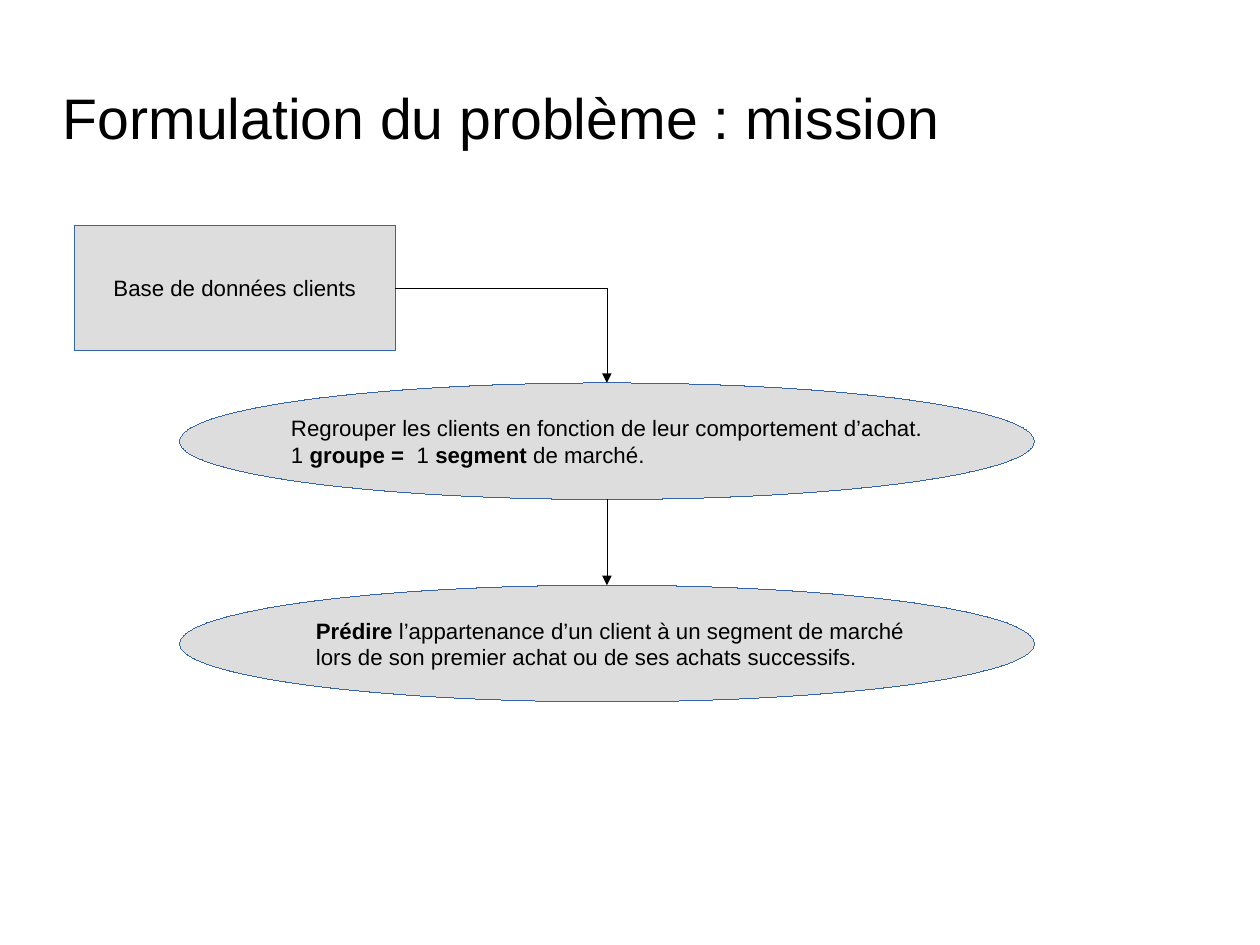
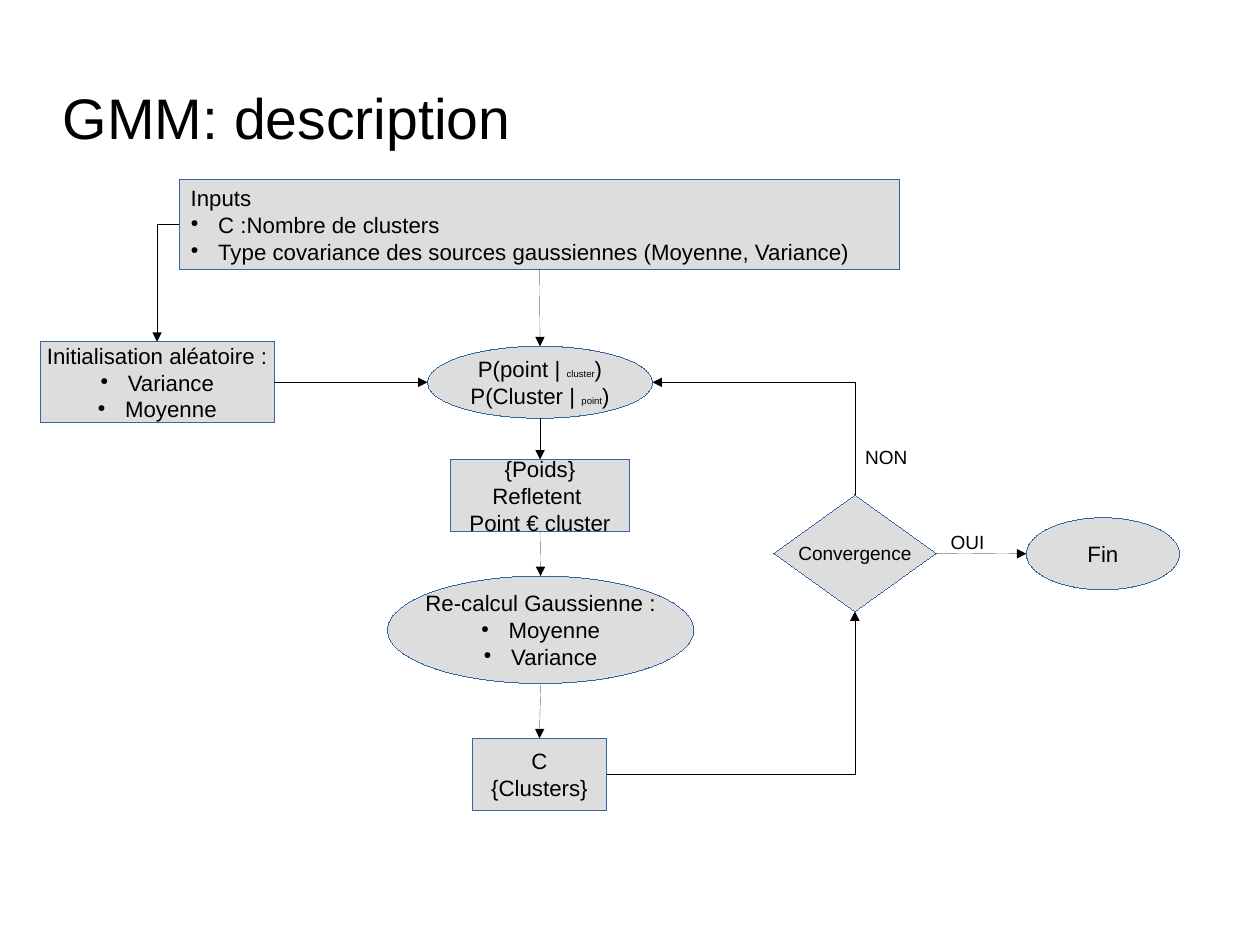
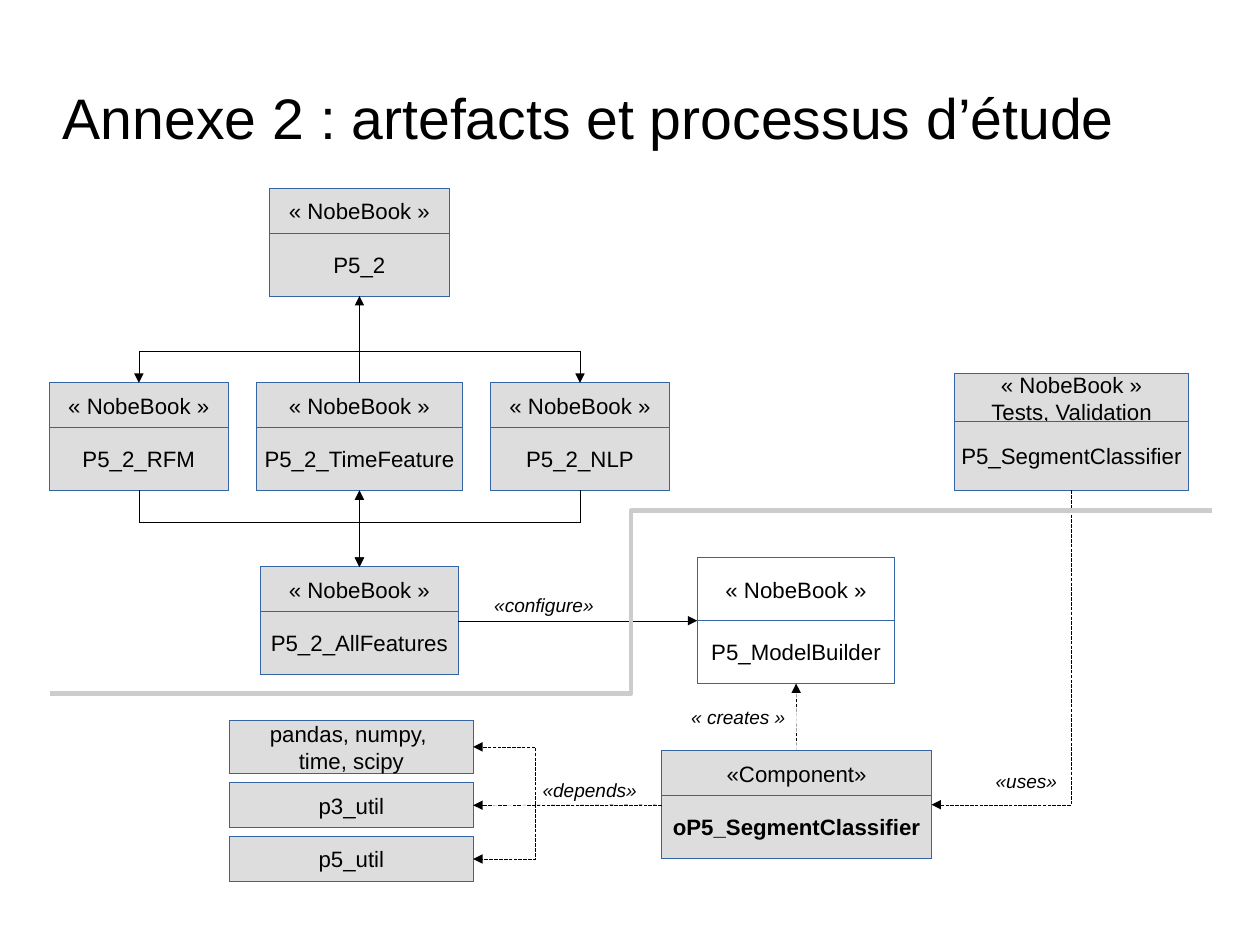
from dataclasses import dataclass
from typing import Optional, Union

from lxml.etree import SubElement
from pptx import Presentation
from pptx.dml.color import RGBColor
from pptx.enum.dml import MSO_LINE
from pptx.enum.shapes import MSO_CONNECTOR, MSO_SHAPE
from pptx.enum.text import MSO_ANCHOR, MSO_AUTO_SIZE, PP_ALIGN
from pptx.oxml.ns import qn
from pptx.shapes.autoshape import Shape
from pptx.shapes.connector import Connector
from pptx.shapes.group import GroupShape
from pptx.slide import Slide
from pptx.text.text import TextFrame
from pptx.util import Cm, Inches, Pt


@dataclass(frozen=True)
class Theme:
    font: str = "Arial"
    text: RGBColor = RGBColor(0, 0, 0)
    fill: RGBColor = RGBColor(0xDD, 0xDD, 0xDD)
    plain: RGBColor = RGBColor(0xFF, 0xFF, 0xFF)
    outline: RGBColor = RGBColor(0x34, 0x65, 0xA4)
    divider: RGBColor = RGBColor(0xCC, 0xCC, 0xCC)
    title_size: float = 36
    body_size: float = 14
    label_size: float = 12
    small_size: float = 6


THEME = Theme()
TOP, LEFT, BOTTOM, RIGHT = range(4)
RECT, OVAL, DIAMOND = MSO_SHAPE.RECTANGLE, MSO_SHAPE.OVAL, MSO_SHAPE.DIAMOND


@dataclass(frozen=True)
class Span:
    text: str
    size: Optional[float] = None
    bold: bool = False


@dataclass(frozen=True)
class Para:
    spans: tuple[Span, ...]
    bullet: bool = False
    align: Optional[PP_ALIGN] = None


@dataclass(frozen=True)
class Node:
    left: float
    top: float
    width: float
    height: float
    content: tuple[Union[str, Para], ...]
    kind: MSO_SHAPE = RECT
    align: PP_ALIGN = PP_ALIGN.CENTER
    size: float = THEME.body_size
    fill: RGBColor = THEME.fill
    wrap: bool = False


@dataclass(frozen=True)
class Artefact:
    """A box with a stereotype above a name."""
    left: float
    top: float
    width: float
    name: Para
    stereotype: tuple[str, ...] = ("« NobeBook »",)
    header: float = 0.39
    body: float = 0.55
    fill: RGBColor = THEME.fill


@dataclass(frozen=True)
class Label:
    left: float
    top: float
    width: float
    text: str
    italic: bool = True


@dataclass(frozen=True)
class Link:
    start: Union[Shape, GroupShape]
    start_side: int
    end: Union[Shape, GroupShape]
    end_side: int
    elbow: bool = False
    bend: Optional[float] = None
    dashed: bool = False


def plain(text: str, bold: bool = False, align: Optional[PP_ALIGN] = None) -> Para:
    return Para((Span(text, bold=bold),), align=align)


def bullet(text: str) -> Para:
    return Para((Span(text),), bullet=True)


# Text
def format_font(font, size: float, bold: bool = False, italic: bool = False) -> None:
    font.name, font.size = THEME.font, Pt(size)
    font.bold, font.italic = bold, italic
    font.color.rgb = THEME.text


def add_bullet(paragraph) -> None:
    properties = paragraph._p.get_or_add_pPr()
    properties.set("marL", str(Inches(0.24)))
    properties.set("indent", str(-Inches(0.24)))
    colour = SubElement(properties, qn("a:buClr"))
    SubElement(colour, qn("a:srgbClr")).set("val", str(THEME.text))
    SubElement(properties, qn("a:buSzPct")).set("val", "45000")
    SubElement(properties, qn("a:buChar")).set("char", "●")


def write(frame: TextFrame, node: Node) -> None:
    for index, item in enumerate(node.content):
        line = plain(item) if isinstance(item, str) else item
        paragraph = frame.paragraphs[0] if index == 0 else frame.add_paragraph()
        paragraph.alignment = line.align or node.align
        if line.bullet:
            add_bullet(paragraph)
        for span in line.spans:
            run = paragraph.add_run()
            run.text = span.text
            format_font(run.font, span.size or node.size, span.bold)


# Shapes
def style_line(shape: Union[Shape, Connector], colour: RGBColor, width: float) -> None:
    shape.line.color.rgb = colour
    shape.line.width = Pt(width)
    # A hairline must not fall back on the line width of the theme
    shape._element.find(qn("p:style")).find(qn("a:lnRef")).set("idx", "0")


def add_node(shapes, node: Node) -> Shape:
    shape = shapes.add_shape(node.kind, Inches(node.left), Inches(node.top),
                             Inches(node.width), Inches(node.height))
    shape.shadow.inherit = False
    shape.fill.solid()
    shape.fill.fore_color.rgb = node.fill
    style_line(shape, THEME.outline, 0)
    shape.text_frame.word_wrap = node.wrap
    shape.text_frame.vertical_anchor = MSO_ANCHOR.MIDDLE
    write(shape.text_frame, node)
    return shape


def add_artefact(slide: Slide, item: Artefact) -> GroupShape:
    group = slide.shapes.add_group_shape()
    add_node(group.shapes, Node(item.left, item.top, item.width, item.header,
                                item.stereotype, fill=item.fill))
    add_node(group.shapes, Node(item.left, item.top + item.header, item.width,
                                item.body, (item.name,), fill=item.fill))
    return group


def add_label(slide: Slide, label: Label) -> None:
    box = slide.shapes.add_textbox(Inches(label.left), Inches(label.top),
                                   Inches(label.width), Inches(0.29))
    frame = box.text_frame
    frame.word_wrap = True
    frame.vertical_anchor = MSO_ANCHOR.BOTTOM
    frame.text = label.text
    frame.paragraphs[0].alignment = PP_ALIGN.CENTER
    format_font(frame.paragraphs[0].runs[0].font, THEME.label_size, italic=label.italic)


# Connectors
def style_connector(connector: Connector, colour: RGBColor, width: float) -> None:
    style_line(connector, colour, width)
    SubElement(connector._element.spPr, qn("a:effectLst"))


def bend_connector(connector: Connector, vertical: bool, bend: Optional[float]) -> None:
    """Give an elbow one bend, or two with the middle part at the given share."""
    x, y = connector.begin_x, connector.begin_y
    dx, dy = connector.end_x - x, connector.end_y - y
    width, height = (abs(dy), abs(dx)) if vertical else (abs(dx), abs(dy))
    connector.left = int(x + dx / 2 - width / 2)
    connector.top = int(y + dy / 2 - height / 2)
    connector.width, connector.height = width, height

    properties = connector._element.spPr
    transform = properties.find(qn("a:xfrm"))
    flip_h, flip_v = (dy < 0, dx > 0) if vertical else (dx < 0, dy < 0)
    transform.set("rot", "5400000" if vertical else "0")
    transform.set("flipH", str(int(flip_h)))
    transform.set("flipV", str(int(flip_v)))

    geometry = properties.find(qn("a:prstGeom"))
    if bend is None:
        geometry.set("prst", "bentConnector2")
        return
    guides = geometry.find(qn("a:avLst"))
    if guides is None:
        guides = SubElement(geometry, qn("a:avLst"))
    guide = SubElement(guides, qn("a:gd"))
    guide.set("name", "adj1")
    guide.set("fmla", f"val {round(bend * 100000)}")


def add_link(slide: Slide, link: Link) -> None:
    kind = MSO_CONNECTOR.ELBOW if link.elbow else MSO_CONNECTOR.STRAIGHT
    connector = slide.shapes.add_connector(kind, 0, 0, 0, 0)
    connector.begin_connect(link.start, link.start_side)
    connector.end_connect(link.end, link.end_side)
    # An ellipse has eight connection sites, so its sides are every second one
    joints = connector._element.nvCxnSpPr.cNvCxnSpPr
    for joint, shape, side in ((joints.stCxn, link.start, link.start_side),
                               (joints.endCxn, link.end, link.end_side)):
        if isinstance(shape, Shape) and shape.auto_shape_type == OVAL:
            joint.idx = side * 2
    if link.elbow:
        bend_connector(connector, link.start_side in (TOP, BOTTOM), link.bend)
    style_connector(connector, THEME.text, 0)
    if link.dashed:
        connector.line.dash_style = MSO_LINE.SQUARE_DOT
    SubElement(connector.line._get_or_add_ln(), qn("a:tailEnd")).set("type", "triangle")


def add_slide(prs, heading: str) -> Slide:
    slide = prs.slides.add_slide(prs.slide_layouts[5])
    title = slide.shapes.title
    title.left, title.top = Inches(0.55), Inches(0.63)
    title.width, title.height = Inches(9.29), Inches(0.79)
    frame = title.text_frame
    frame.text = heading
    frame.auto_size = MSO_AUTO_SIZE.NONE
    frame.word_wrap = True
    frame.vertical_anchor = MSO_ANCHOR.MIDDLE
    frame.margin_left = frame.margin_right = frame.margin_top = frame.margin_bottom = 0
    frame.paragraphs[0].alignment = PP_ALIGN.LEFT
    format_font(frame.paragraphs[0].runs[0].font, THEME.title_size)
    return slide


# Slides
def build_mission(prs) -> None:
    slide = add_slide(prs, "Formulation du problème : mission")
    database = add_node(slide.shapes, Node(0.65, 1.97, 2.81, 1.1,
                                           ("Base de données clients",)))
    segments = (
        plain("Regrouper les clients en fonction de leur comportement d’achat.",
              align=PP_ALIGN.CENTER),
        Para((Span("1 "), Span("groupe = ", bold=True), Span(" 1 "),
              Span("segment", bold=True), Span(" de marché."))),
    )
    prediction = (
        Para((Span("Prédire", bold=True),
              Span(" l’appartenance d’un client à un segment de marché"))),
        "lors de son premier achat ou de ses achats successifs.",
    )
    grouping, predicting = (
        add_node(slide.shapes, Node(1.57, top, 7.48, 1.02, content, OVAL, PP_ALIGN.LEFT))
        for top, content in ((3.35, segments), (5.12, prediction)))
    add_link(slide, Link(database, RIGHT, grouping, TOP, elbow=True))
    add_link(slide, Link(grouping, BOTTOM, predicting, TOP))


def build_gmm(prs) -> None:
    slide = add_slide(prs, "GMM: description")
    small = THEME.small_size
    nodes = (
        Node(1.57, 1.57, 6.3, 0.79, (
            "Inputs", bullet("C :Nombre de clusters"),
            bullet("Type covariance des sources gaussiennes (Moyenne, Variance)"),
        ), align=PP_ALIGN.LEFT, wrap=True),
        Node(0.35, 2.99, 2.05, 0.71, (
            "Initialisation aléatoire :", bullet("Variance"), bullet("Moyenne"))),
        Node(3.74, 3.03, 1.97, 0.63, (
            Para((Span("P(point | "), Span("cluster", small), Span(")"))),
            Para((Span("P(Cluster | "), Span("point", small), Span(")"))),
        ), OVAL),
        Node(3.94, 4.02, 1.57, 0.63, ("{Poids}", "Refletent ", "Point € cluster")),
        Node(3.39, 5.04, 2.68, 0.94, (
            "Re-calcul Gaussienne :", bullet("Moyenne"), bullet("Variance")), OVAL),
        Node(4.13, 6.46, 1.18, 0.63, ("C", "{Clusters}")),
        Node(6.77, 4.33, 1.42, 1.02, ("Convergence",), DIAMOND, size=THEME.label_size),
        Node(8.98, 4.53, 1.34, 0.63, ("Fin",), OVAL),
    )
    inputs, start, probability, weights, update, clusters, convergence, finish = (
        add_node(slide.shapes, node) for node in nodes)

    steps = (inputs, probability, weights, update, clusters)
    for upper, lower in zip(steps, steps[1:]):
        add_link(slide, Link(upper, BOTTOM, lower, TOP))
    for link in (
        Link(inputs, LEFT, start, TOP, elbow=True),
        Link(start, RIGHT, probability, LEFT),
        Link(clusters, RIGHT, convergence, BOTTOM, elbow=True),
        Link(convergence, TOP, probability, RIGHT, elbow=True),
        Link(convergence, RIGHT, finish, LEFT),
    ):
        add_link(slide, link)
    add_label(slide, Label(8.19, 4.6, 0.55, "OUI", italic=False))
    add_label(slide, Label(7.44, 3.86, 0.63, "NON", italic=False))


def build_artefacts(prs) -> None:
    slide = add_slide(prs, "Annexe 2 : artefacts et processus d’étude")
    artefacts = (
        Artefact(2.36, 1.65, 1.57, plain("P5_2")),
        Artefact(0.43, 3.35, 1.57, plain("P5_2_RFM")),
        Artefact(2.24, 3.35, 1.81, plain("P5_2_TimeFeature")),
        Artefact(4.29, 3.35, 1.57, plain("P5_2_NLP")),
        Artefact(2.28, 4.96, 1.73, plain("P5_2_AllFeatures")),
        Artefact(6.1, 4.88, 1.73, plain("P5_ModelBuilder"), header=0.55, fill=THEME.plain),
        Artefact(8.35, 3.27, 2.05, plain("P5_SegmentClassifier"),
                 ("« NobeBook »", "Tests, Validation"), header=0.42, body=0.6),
        Artefact(5.79, 6.57, 2.36, plain("oP5_SegmentClassifier", bold=True),
                 ("«Component»",)),
    )
    source, rfm, time_feature, nlp, all_features, builder, tests, component = (
        add_artefact(slide, item) for item in artefacts)
    libraries, p3_util, p5_util = (
        add_node(slide.shapes, Node(2.01, top, 2.13, height, content))
        for top, height, content in (
            (6.3, 0.47, ("pandas, numpy, ", "time, scipy")),
            (6.85, 0.39, ("p3_util",)),
            (7.32, 0.39, ("p5_util",))))

    for feature in (rfm, nlp):
        add_link(slide, Link(source, BOTTOM, feature, TOP, elbow=True, bend=0.63))
        add_link(slide, Link(feature, BOTTOM, all_features, TOP, elbow=True, bend=0.41))
    for link in (
        Link(time_feature, TOP, source, BOTTOM),
        Link(all_features, TOP, time_feature, BOTTOM),
        Link(all_features, RIGHT, builder, LEFT),
        Link(component, TOP, builder, BOTTOM, dashed=True),
        Link(tests, BOTTOM, component, RIGHT, elbow=True, dashed=True),
        Link(component, LEFT, libraries, RIGHT, elbow=True, bend=0.67, dashed=True),
        Link(component, LEFT, p3_util, RIGHT, dashed=True),
        Link(component, LEFT, p5_util, RIGHT, elbow=True, bend=0.67, dashed=True),
    ):
        add_link(slide, link)

    for left, top, text in ((5.91, 6.13, "« creates »"), (4.21, 5.15, "«configure»"),
                            (4.61, 6.77, "«depends»"), (8.43, 6.69, "«uses»")):
        add_label(slide, Label(left, top, 1.1, text))

    # Divider between the study and the delivered component
    divider = slide.shapes.add_connector(MSO_CONNECTOR.ELBOW, Inches(0.44), Inches(6.07),
                                         Inches(10.6), Inches(4.47))
    style_connector(divider, THEME.divider, 3)


def main() -> None:
    prs = Presentation()
    # The page is metric: 28 by 21 cm, not the preset format of the template
    prs.slide_width, prs.slide_height = Cm(28), Cm(21)
    prs.element.sldSz.attrib.pop("type", None)
    build_mission(prs)
    build_gmm(prs)
    build_artefacts(prs)
    prs.save("out.pptx")


if __name__ == "__main__":
    main()
